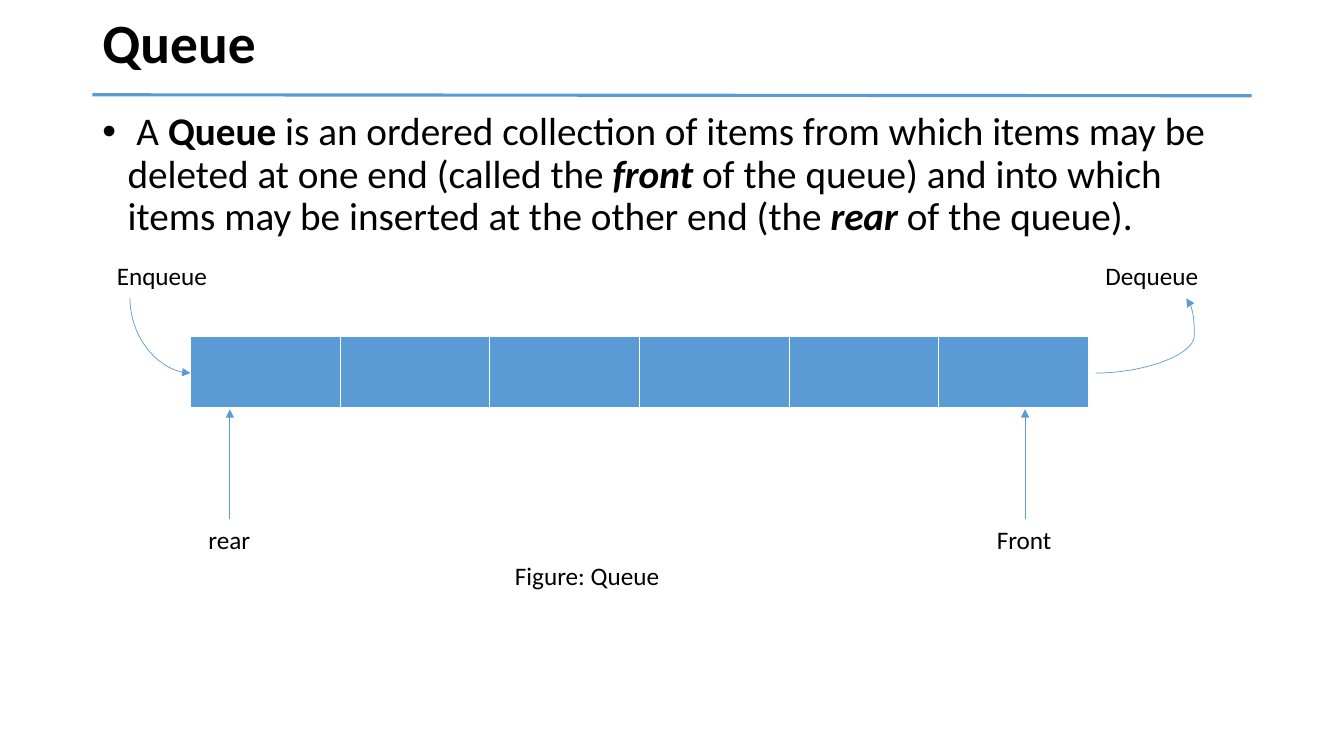
from dataclasses import dataclass

from pptx import Presentation
from pptx.dml.color import RGBColor
from pptx.enum.shapes import MSO_CONNECTOR as Link
from pptx.enum.text import MSO_ANCHOR as Anchor, MSO_AUTO_SIZE as Fit, PP_ALIGN as Align
from pptx.oxml import parse_xml
from pptx.oxml.ns import nsdecls, qn
from pptx.util import Pt


@dataclass(frozen=True)
class Theme:
    font: str = "Calibri"
    ink: str = "000000"
    accent: str = "5B9BD5"
    grid: str = "FFFFFF"
    title_size: float = 39.6
    body_size: float = 28
    label_size: float = 18
    rule_width: float = 2.25
    arrow_width: float = 0.5


THEME = Theme()
CELL_COUNT = 6
QUEUE_LEFT, QUEUE_TOP, CELL_WIDTH, CELL_HEIGHT = 136.1, 240.6, 106.9, 51.8
QUEUE_BOTTOM = QUEUE_TOP + CELL_HEIGHT
QUEUE_MIDDLE = QUEUE_TOP + CELL_HEIGHT / 2
LABEL_HEIGHT = 29.1

DEFINITION = [
    (" A ", {}),
    ("Queue ", {"bold": True}),
    ("is an ordered collection of items from which items may be "
     "deleted at one end (called the ", {}),
    ("front ", {"bold": True, "italic": True}),
    ("of the queue) and into which items may be inserted at the other end (the ", {}),
    ("rear ", {"bold": True, "italic": True}),
    ("of the queue).", {}),
]
# text, left, top, width, wraps
LABELS = [
    ("Figure: Queue", 360.7, 396.7, 118.8, False),
    ("rear", 141.8, 370.8, 44.6, False),
    ("Front", 704.9, 370.8, 54, False),
    ("Enqueue", 76.3, 182.2, 97.2, True),
    ("Dequeue", 782.6, 182.2, 110.9, True),
]
POINTER_XS = (164.2, 732.2)
POINTER_START = 370.8
CURVE_TOP = 213.1


def place(shape, left, top, width, height):
    box = {"left": left, "top": top, "width": width, "height": height}
    for name, value in box.items():
        setattr(shape, name, Pt(value))


def add_run(paragraph, text, size, **styles):
    run = paragraph.add_run()
    run.text = text
    formats = {"name": THEME.font, "size": Pt(size), "bold": False, "italic": False}
    for name, value in {**formats, **styles}.items():
        setattr(run.font, name, value)
    run.font.color.rgb = RGBColor.from_string(THEME.ink)


def fill_title(title):
    place(title, 66, 8, 828, 49.7)
    frame = title.text_frame
    frame.auto_size = Fit.NONE
    frame.vertical_anchor = Anchor.MIDDLE
    heading = frame.paragraphs[0]
    heading.alignment = Align.LEFT
    heading.line_spacing = 0.9
    add_run(heading, "Queue", THEME.title_size, bold=True)


def fill_body(body):
    place(body, 66, 76.3, 828, 401.8)
    body.text_frame.auto_size = Fit.NONE
    definition = body.text_frame.paragraphs[0]
    definition.line_spacing = 0.9
    definition.space_before = Pt(10)
    for text, styles in DEFINITION:
        add_run(definition, text, THEME.body_size, **styles)
    # Hanging bullet
    props = definition._p.get_or_add_pPr()
    props.set("marL", str(Pt(18)))
    props.set("indent", str(-Pt(18)))
    props.append(parse_xml(f'<a:buFont {nsdecls("a")} typeface="Arial"/>'))
    props.append(parse_xml(f'<a:buChar {nsdecls("a")} char="•"/>'))


def add_label(slide, text, left, top, width, wraps):
    label = slide.shapes.add_textbox(Pt(left), Pt(top), Pt(width), Pt(LABEL_HEIGHT))
    label.text_frame.word_wrap = wraps
    label.text_frame.auto_size = Fit.SHAPE_TO_FIT_TEXT
    add_run(label.text_frame.paragraphs[0], text, THEME.label_size)


def add_line(slide, start, end, width, kind=Link.STRAIGHT, arrow=True):
    line = slide.shapes.add_connector(kind, *map(Pt, start + end))
    line.line.color.rgb = RGBColor.from_string(THEME.accent)
    line.line.width = Pt(width)
    if arrow:
        line.line._get_or_add_ln().append(
            parse_xml(f'<a:tailEnd {nsdecls("a")} type="triangle"/>'))
    line._element.spPr.append(parse_xml(f'<a:effectLst {nsdecls("a")}/>'))
    return line


def add_enqueue_curve(slide, start, end):
    """Quarter curve that leaves downwards and arrives from the left."""
    run, drop = end[0] - start[0], end[1] - start[1]
    middle_x, middle_y = (start[0] + end[0]) / 2, (start[1] + end[1]) / 2
    left, top = middle_x - drop / 2, middle_y - run / 2
    curve = add_line(slide, (left + drop, top), (left, top + run),
                     THEME.arrow_width, Link.CURVE)
    props = curve._element.spPr
    props.find(qn("a:xfrm")).set("rot", str(270 * 60000))
    props.find(qn("a:prstGeom")).set("prst", "curvedConnector2")


def add_dequeue_curve(slide, start, end):
    """Curve that swings past its end and turns back to it."""
    curve = add_line(slide, start, end, THEME.arrow_width, Link.CURVE)
    geometry = curve._element.spPr.find(qn("a:prstGeom"))
    geometry.get_or_add_avLst().append(
        parse_xml(f'<a:gd {nsdecls("a")} name="adj1" fmla="val 108900"/>'))


def style_cell(cell):
    props = cell._tc.get_or_add_tcPr()
    for side, width in {"L": 1, "R": 1, "T": 1, "B": 3}.items():
        props.append(parse_xml(
            f'<a:ln{side} {nsdecls("a")} w="{Pt(width)}"><a:solidFill>'
            f'<a:srgbClr val="{THEME.grid}"/></a:solidFill></a:ln{side}>'))
    cell.fill.solid()
    cell.fill.fore_color.rgb = RGBColor.from_string(THEME.accent)


def add_queue(slide):
    queue = slide.shapes.add_table(
        1, CELL_COUNT, Pt(QUEUE_LEFT), Pt(QUEUE_TOP),
        Pt(CELL_WIDTH * CELL_COUNT), Pt(CELL_HEIGHT)).table
    for column in queue.columns:
        column.width = Pt(CELL_WIDTH)
    for cell in queue.iter_cells():
        style_cell(cell)


def main():
    deck = Presentation()
    deck.slide_width, deck.slide_height = Pt(960), Pt(540)
    slide = deck.slides.add_slide(deck.slide_layouts[1])

    # Heading and definition
    add_line(slide, (66, 67.7), (894, 68.4), THEME.rule_width, arrow=False)
    fill_title(slide.shapes.title)
    fill_body(slide.placeholders[1])

    # Queue diagram
    add_queue(slide)
    for label in LABELS:
        add_label(slide, *label)
    for x in POINTER_XS:
        add_line(slide, (x, POINTER_START), (x, QUEUE_BOTTOM), THEME.arrow_width)
    add_enqueue_curve(slide, (92.9, CURVE_TOP), (QUEUE_LEFT, QUEUE_MIDDLE))
    add_dequeue_curve(slide, (782.6, QUEUE_MIDDLE), (847.4, CURVE_TOP))

    deck.save("out.pptx")


if __name__ == "__main__":
    main()
